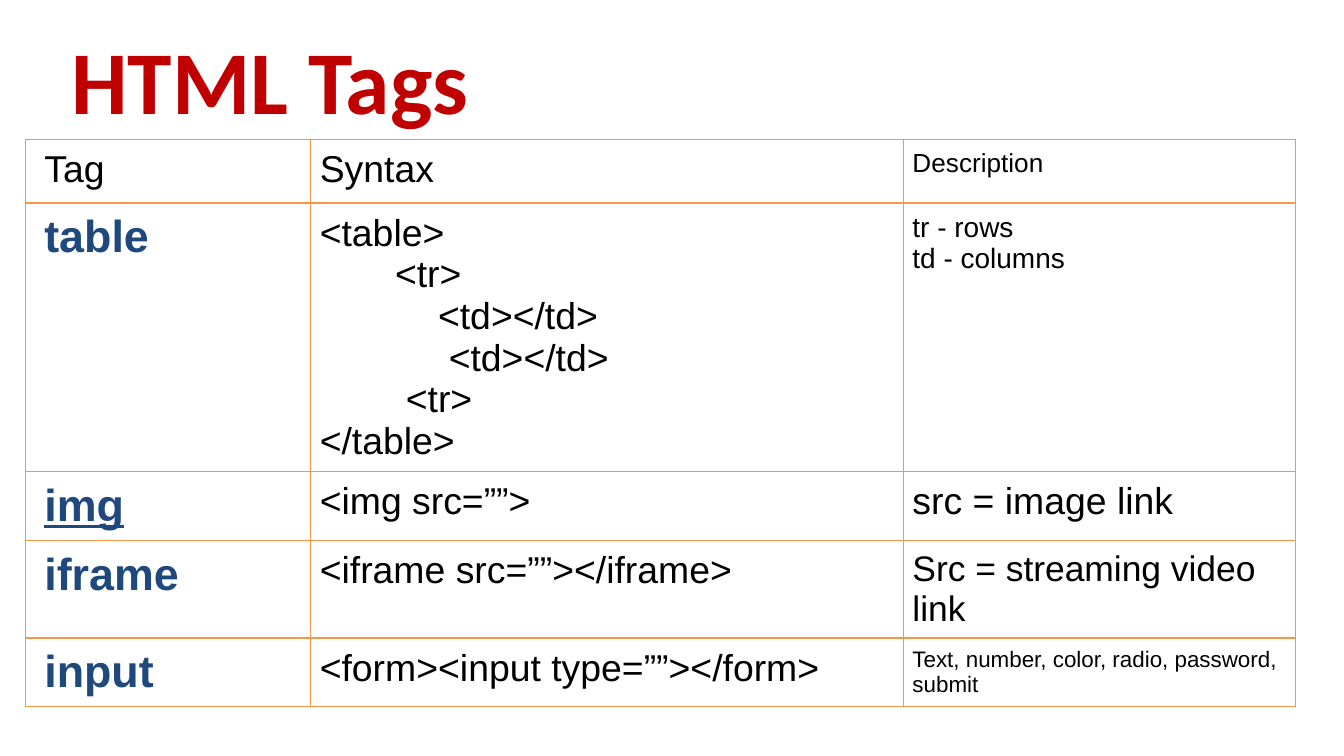
import pptx
import pptx.dml.color
import pptx.enum.text
import pptx.oxml
import pptx.oxml.ns
import pptx.util
from dataclasses import dataclass

Inches = pptx.util.Inches


@dataclass(frozen=True)
class Theme:
    title_font: str = "Calibri"
    body_font: str = "Arial"
    title_color: str = "C00000"
    tag_color: str = "1F497D"
    text_color: str = "000000"
    border_color: str = "F79646"
    border_width: float = 0.75
    title_size: int = 48
    tag_size: int = 24
    text_size: int = 20
    space_width: float = 0.08


class TagSlide:
    def __init__(self, deck, theme):
        self.theme = theme
        self.page = deck.slides.add_slide(deck.slide_layouts[5])

    def format_span(self, span, font, size, color, bold=False, underline=False):
        span.font.name = font
        span.font.size = pptx.util.Pt(size)
        span.font.color.rgb = pptx.dml.color.RGBColor.from_string(color)
        span.font.bold = bold
        span.font.underline = underline

    def add_title(self, text, left, top, width, height):
        box = self.page.shapes.title
        box.left, box.top = Inches(left), Inches(top)
        box.width, box.height = Inches(width), Inches(height)
        frame = box.text_frame
        frame.text = text
        frame.auto_size = pptx.enum.text.MSO_AUTO_SIZE.NONE
        frame.vertical_anchor = pptx.enum.text.MSO_ANCHOR.MIDDLE
        para = frame.paragraphs[0]
        para.alignment = pptx.enum.text.PP_ALIGN.LEFT
        theme = self.theme
        self.format_span(para.runs[0], theme.title_font, theme.title_size,
                         theme.title_color, bold=True)

    def add_borders(self, cell):
        properties = cell._tc.get_or_add_tcPr()
        width = pptx.util.Pt(self.theme.border_width)
        for index, side in enumerate(("lnL", "lnR", "lnT", "lnB")):
            line = pptx.oxml.parse_xml(
                f'<a:{side} {pptx.oxml.ns.nsdecls("a")} w="{width}"><a:solidFill>'
                f'<a:srgbClr val="{self.theme.border_color}"/></a:solidFill></a:{side}>')
            properties.insert(index, line)

    def fill_cell(self, cell, lines, left_margin, indents=(), **style):
        cell.margin_left = Inches(left_margin)
        cell.margin_right = cell.margin_top = cell.margin_bottom = Inches(0.07)
        cell.vertical_anchor = pptx.enum.text.MSO_ANCHOR.TOP
        cell.fill.background()
        self.add_borders(cell)
        cell.text_frame.text = lines
        for para in cell.text_frame.paragraphs:
            self.format_span(para.runs[0], self.theme.body_font, **style)
        for para, spaces in zip(cell.text_frame.paragraphs, indents):
            indent = Inches(spaces * self.theme.space_width)
            para._p.get_or_add_pPr().set("marL", str(indent))

    def add_tag_table(self, header, entries, left, top, widths, heights):
        theme = self.theme
        table = self.page.shapes.add_table(
            len(heights), len(widths), Inches(left), Inches(top),
            Inches(sum(widths)), Inches(sum(heights))).table
        table.first_row = table.horz_banding = False
        for column, width in zip(table.columns, widths):
            column.width = Inches(width)
        for row, height in zip(table.rows, heights):
            row.height = Inches(height)
        plain = dict(color=theme.text_color)
        strong = dict(size=theme.tag_size, color=theme.tag_color, bold=True)
        for index, entry in enumerate([header, *entries]):
            tag, syntax, description, size, indents = entry
            tag_style = strong if index else dict(plain, size=theme.text_size)
            self.fill_cell(table.cell(index, 0), tag, 0.14,
                           underline=tag == "img", **tag_style)
            self.fill_cell(table.cell(index, 1), syntax, 0.07, indents,
                           size=theme.text_size, **plain)
            self.fill_cell(table.cell(index, 2), description, 0.07,
                           size=size, **plain)


HEADER = ("Tag", "Syntax", "Description", 14, ())
ENTRIES = [
    ("table", "<table>\n<tr>\n<td></td>\n<td></td>\n<tr>\n</table>",
     "tr - rows\ntd - columns", 15, (0, 7, 11, 12, 8, 0)),
    ("img", "<img src=””>", "src = image link", 20, ()),
    ("iframe", "<iframe src=””></iframe>", "Src = streaming video link", 19, ()),
    ("input", "<form><input type=””></form>",
     "Text, number, color, radio, password, submit", 12, ()),
]


def main():
    deck = pptx.Presentation()
    deck.slide_width = Inches(10)
    deck.slide_height = deck.slide_width * 9 // 16
    slide = TagSlide(deck, Theme())
    slide.add_title("HTML Tags", 0.43, 0.13, 9.13, 0.91)
    slide.add_tag_table(HEADER, ENTRIES, 0.19, 1.04,
                        widths=(2.12, 4.41, 2.92),
                        heights=(0.47, 1.7, 0.47, 0.47, 0.47))
    deck.save("out.pptx")


if __name__ == "__main__":
    main()
